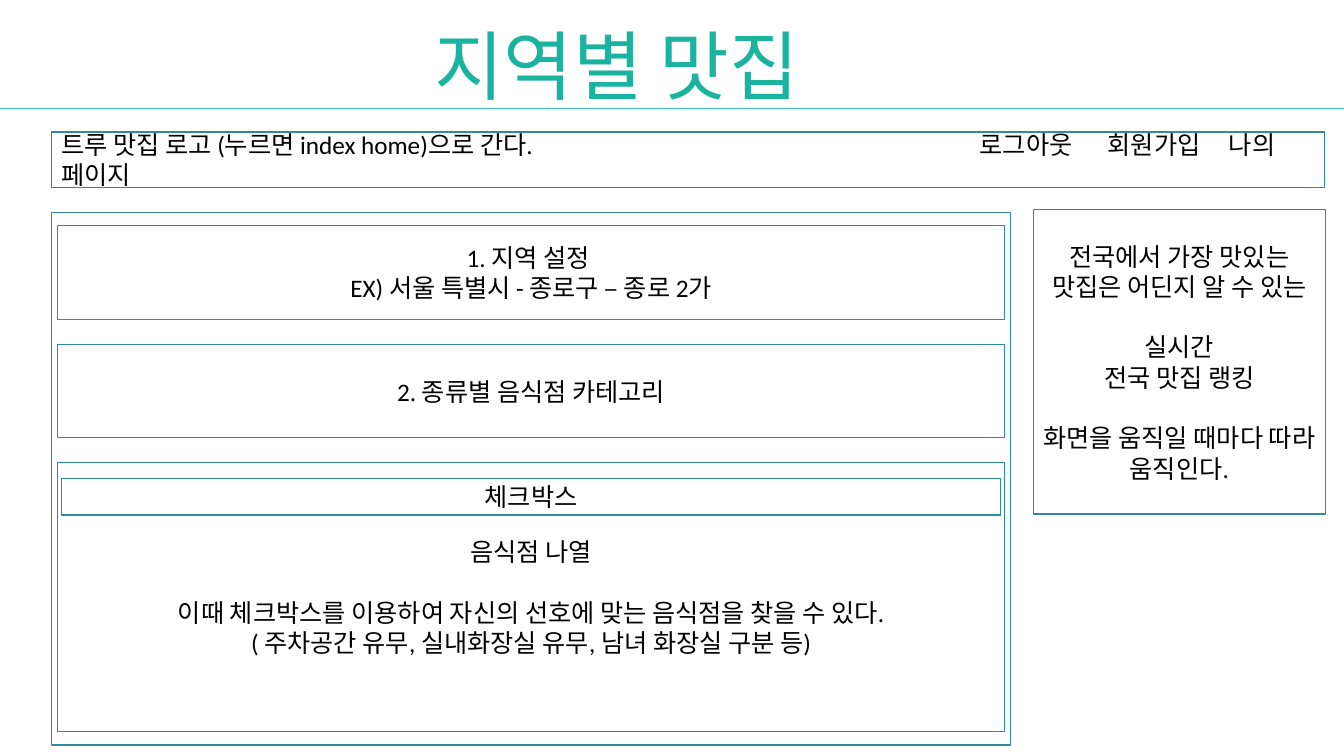
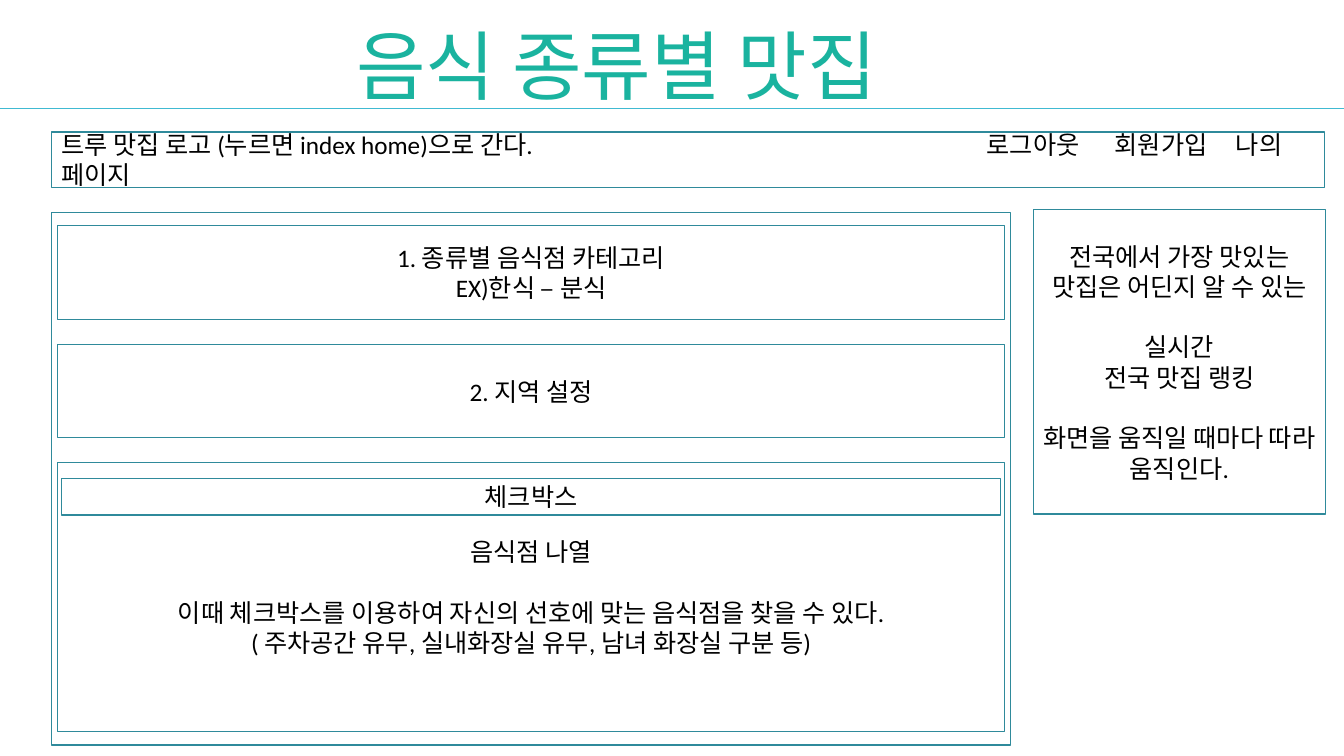
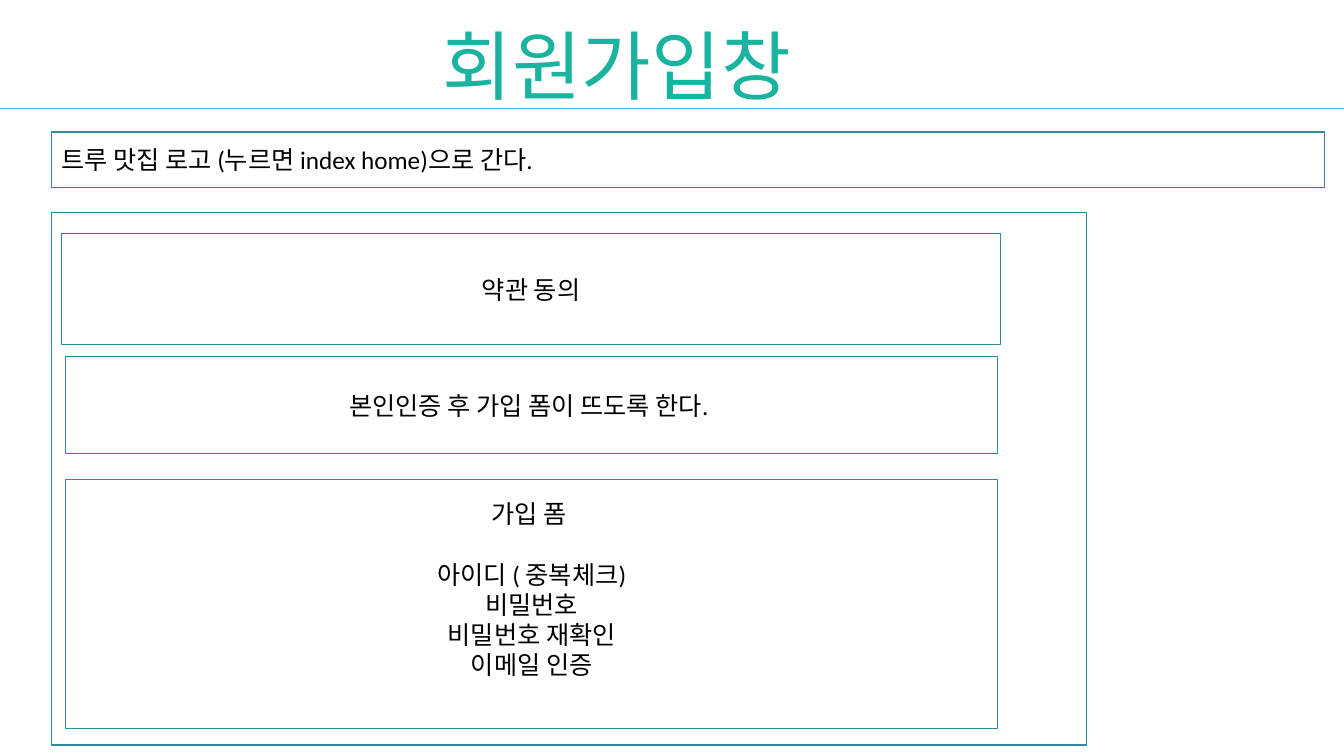
from lxml.etree import SubElement
from pptx import Presentation
from pptx.dml.color import RGBColor
from pptx.enum.shapes import MSO_CONNECTOR as Connector, MSO_SHAPE as Shape
from pptx.enum.text import MSO_ANCHOR as Anchor, MSO_AUTO_SIZE as AutoSize, PP_ALIGN as Align
from pptx.oxml import parse_xml
from pptx.oxml.ns import nsdecls, qn
from pptx.util import Pt

COLORS = {
    "paper": "FFFFFF",
    "text": "000000",
    "frame": "2F8A9B",
    "rule": "40BAD2",
    "title_dark": "0D5A4F",
    "title_mid": "1AB39F",
    "title_light": "5FE8D6",
}
FONT = "Calibri"
BODY_SIZE = 18
GROUP_GAP = 21.7
SLIDE_WIDTH, SLIDE_HEIGHT = 960, 540
TITLE_AREA = (140, 10, 601, 72.7)
RULE_TOP = 77.8
LEFT = 36.7
HEADER_AREA = (LEFT, 94.3, 909.4, 39.6)
PANEL_TOP, PANEL_HEIGHT = 151.9, 380.2
STEP_LEFT, STEP_WIDTH = 41, 676.8
BAR_LEFT, BAR_WIDTH = 43.9, 671
FORM_LEFT, FORM_WIDTH = 46.8, 666
RANKING_AREA = (738, 149.8, 208.8, 217.4)

HOME_TEXT = "트루 맛집 로고 (누르면 index home)으로 간다."
MENU = ["로그아웃", "회원가입", "나의 페이지"]
MENU_STOPS = [656, 747.5, 834]
LISTING = [
    ["음식점 나열"],
    ["이때 체크박스를 이용하여 자신의 선호에 맞는 음식점을 찾을 수 있다.",
     "( 주차공간 유무, 실내화장실 유무, 남녀 화장실 구분 등)"],
]
RANKING = [
    ["전국에서 가장 맛있는 맛집은 어딘지 알 수 있는"],
    ["실시간", "전국 맛집 랭킹"],
    ["화면을 움직일 때마다 따라 움직인다."],
]
FORM = [
    ["가입 폼 "],
    ["아이디 ( 중복체크)", "비밀번호", "비밀번호 재확인", "이메일 인증"],
]


def color(name):
    return RGBColor.from_string(COLORS[name])


def place(shape, area):
    shape.left, shape.top, shape.width, shape.height = map(Pt, area)


def add_span(para, text, size):
    span = para.add_run()
    span.text = text
    span.font.name = FONT
    span.font.size = Pt(size)
    return span


def paint_gradient(span):
    stops = zip((0, 50000, 100000), ("title_dark", "title_mid", "title_light"))
    marks = "".join(
        f'<a:gs pos="{position}"><a:srgbClr val="{COLORS[name]}"/></a:gs>'
        for position, name in stops
    )
    fill = parse_xml(
        f'<a:gradFill {nsdecls("a")}><a:gsLst>{marks}</a:gsLst>'
        '<a:lin ang="5400000" scaled="0"/></a:gradFill>'
    )
    span.font._element.insert(0, fill)


def set_tab_stops(para, stops):
    tab_list = SubElement(para._p.get_or_add_pPr(), qn("a:tabLst"))
    for stop in stops:
        SubElement(tab_list, qn("a:tab"), pos=str(int(Pt(stop))), algn="l")


def add_title(page, text):
    title = page.shapes.title
    place(title, TITLE_AREA)
    frame = title.text_frame
    frame.word_wrap = False
    frame.auto_size = AutoSize.NONE
    frame.vertical_anchor = Anchor.TOP
    para = frame.paragraphs[0]
    para.alignment = Align.CENTER
    paint_gradient(add_span(para, text, 54))


def add_rule(page):
    rule = page.shapes.add_connector(
        Connector.STRAIGHT, 0, Pt(RULE_TOP), Pt(SLIDE_WIDTH), Pt(RULE_TOP)
    )
    rule.line.color.rgb = color("rule")
    rule.line.width = Pt(0.75)
    SubElement(rule._element.spPr, qn("a:effectLst"))


def add_box(page, area, groups=(), align=Align.CENTER):
    box = page.shapes.add_shape(Shape.RECTANGLE, *map(Pt, area))
    box.shadow.inherit = False
    box.fill.solid()
    box.fill.fore_color.rgb = color("paper")
    box.line.color.rgb = color("frame")
    box.line.width = Pt(0.85)
    frame = box.text_frame
    frame.word_wrap = True
    frame.vertical_anchor = Anchor.MIDDLE
    para = frame.paragraphs[0]
    for group_index, group in enumerate(groups):
        for line_index, text in enumerate(group):
            if group_index or line_index:
                para = frame.add_paragraph()
            para.alignment = align
            if group_index and not line_index:
                para.space_before = Pt(GROUP_GAP)
            add_span(para, text, BODY_SIZE).font.color.rgb = color("text")
    return box


def add_page(deck, title, menu=(), menu_shift=0):
    page = deck.slides.add_slide(deck.slide_layouts[5])
    add_title(page, title)
    add_rule(page)
    header = add_box(page, HEADER_AREA, [["\t".join([HOME_TEXT, *menu])]], Align.LEFT)
    if menu:
        stops = [stop + menu_shift for stop in MENU_STOPS]
        set_tab_stops(header.text_frame.paragraphs[0], stops)
    return page


def add_search_page(deck, title, first_step, second_step, menu_shift=0):
    page = add_page(deck, title, MENU, menu_shift)
    add_box(page, (LEFT, PANEL_TOP, 685.4, PANEL_HEIGHT))
    steps = [
        (161.3, 67, [first_step]),
        (246.2, 66.2, [[second_step]]),
        (330.5, 192.2, LISTING),
    ]
    for top, height, groups in steps:
        add_box(page, (STEP_LEFT, top, STEP_WIDTH, height), groups)
    add_box(page, (BAR_LEFT, 342, BAR_WIDTH, 25.9), [["체크박스"]])
    add_box(page, RANKING_AREA, RANKING)


def add_signup_page(deck):
    page = add_page(deck, "회원가입창")
    add_box(page, (LEFT, PANEL_TOP, 739.4, PANEL_HEIGHT))
    add_box(page, (FORM_LEFT, 254.9, FORM_WIDTH, 69.1),
            [["본인인증 후 가입 폼이 뜨도록 한다. "]])
    add_box(page, (BAR_LEFT, 167, BAR_WIDTH, 79.2), [["약관 동의"]])
    form = add_box(page, (FORM_LEFT, 342.7, FORM_WIDTH, 177.8), FORM)
    form.text_frame.margin_bottom = Pt(3.6 + GROUP_GAP)


def main():
    deck = Presentation()
    deck.slide_width, deck.slide_height = Pt(SLIDE_WIDTH), Pt(SLIDE_HEIGHT)
    add_search_page(
        deck, "지역별 맛집",
        ["1. 지역 설정 ", "EX) 서울 특별시 - 종로구 – 종로 2가"],
        "2. 종류별 음식점 카테고리",
    )
    add_search_page(
        deck, "음식 종류별 맛집",
        ["1. 종류별 음식점 카테고리", "EX)한식 – 분식"],
        "2. 지역 설정",
        menu_shift=5,
    )
    add_signup_page(deck)
    deck.save("out.pptx")


if __name__ == "__main__":
    main()
